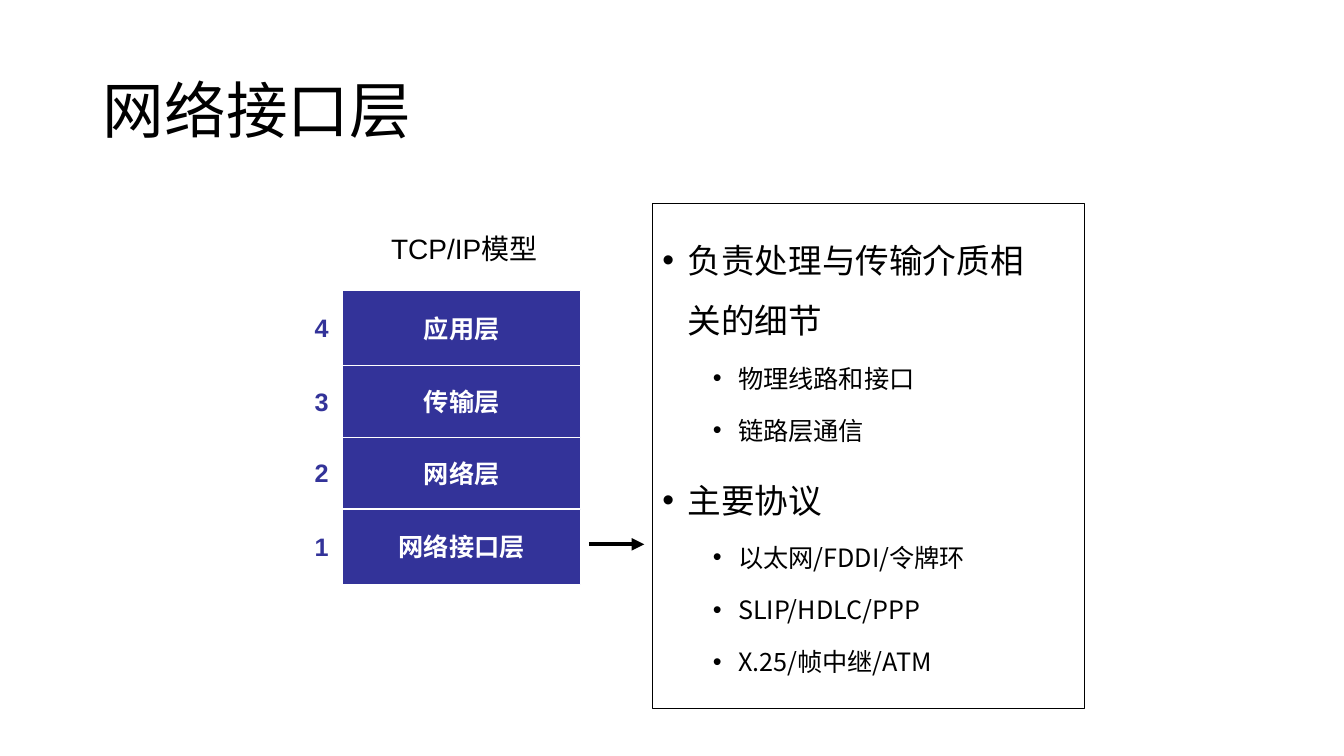
from pptx import Presentation
from pptx.dml.color import RGBColor
from pptx.enum.shapes import MSO_CONNECTOR as Connector, MSO_SHAPE as Shape
from pptx.enum.text import MSO_ANCHOR as Anchor, MSO_AUTO_SIZE as AutoSize, PP_ALIGN as Align
from pptx.oxml.ns import qn
from pptx.util import Inches, Pt
from lxml.etree import SubElement

CJK, LATIN = "Noto Sans CJK SC", "Arial"
BLACK, WHITE, BLUE = "000000", "FFFFFF", "333399"

TITLE = "网络接口层"
MODEL_NAME = "TCP/IP模型"
# Layer name and height, from top to bottom
LAYERS = [("应用层", 0.75), ("传输层", 0.71), ("网络层", 0.71), ("网络接口层", 0.75)]
# Level and text
DETAILS = [
    (0, "负责处理与传输介质相关的细节"),
    (1, "物理线路和接口"),
    (1, "链路层通信"),
    (0, "主要协议"),
    (1, "以太网/FDDI/令牌环"),
    (1, "SLIP/HDLC/PPP"),
    (1, "X.25/帧中继/ATM"),
]
# Size, space before and left indent of each bullet level
LEVELS = [(24, 10, 0.25), (18, 5, 0.75)]
HANGING = 0.25
STACK_LEFT, STACK_TOP, STACK_WIDTH = 3.4, 2.88, 2.36
NUMBER_LEFT, NUMBER_WIDTH, NUMBER_HEIGHT = 3.02, 0.34, 0.41


def color(value):
    return RGBColor.from_string(value)


def place(shape, *box):
    for name, value in zip(("left", "top", "width", "height"), box):
        setattr(shape, name, Inches(value))


def write(paragraph, text, hue, align=Align.CENTER, **font_format):
    paragraph.alignment = align
    run = paragraph.add_run()
    run.text = text
    for name, value in font_format.items():
        setattr(run.font, name, value)
    run.font.color.rgb = color(hue)
    east_asian = SubElement(run.font._element, qn("a:ea"))
    east_asian.set("typeface", CJK)


def add_label(slide, box, text, hue, **font_format):
    label = slide.shapes.add_textbox(*map(Inches, box))
    label.text_frame.word_wrap = True
    write(label.text_frame.paragraphs[0], text, hue, **font_format)
    return label.text_frame


def add_rectangle(slide, box, line, fill=None):
    shape = slide.shapes.add_shape(Shape.RECTANGLE, *map(Inches, box))
    shape.shadow.inherit = False
    if fill:
        shape.fill.solid()
        shape.fill.fore_color.rgb = color(fill)
    else:
        shape.fill.background()
    shape.line.color.rgb = color(line)
    shape.line.width = Pt(0.75)
    return shape


presentation = Presentation()
presentation.slide_width, presentation.slide_height = Inches(13.33), Inches(7.5)
slide = presentation.slides.add_slide(presentation.slide_layouts[1])

# Title
title = slide.shapes.title
place(title, 0.92, 0.4, 11.5, 1.45)
title.text_frame.vertical_anchor = Anchor.MIDDLE
title_paragraph = title.text_frame.paragraphs[0]
title_paragraph.line_spacing = 0.9
write(title_paragraph, TITLE, BLACK, Align.LEFT, size=Pt(44), name=CJK)

# Layer stack with numbers counting down
add_label(slide, (3.6, 2.25, 2.01, 0.43), MODEL_NAME, BLACK, size=Pt(20), name=LATIN)
top = STACK_TOP
for index, (layer, height) in enumerate(LAYERS):
    block = add_rectangle(slide, (STACK_LEFT, top, STACK_WIDTH, height), WHITE, BLUE)
    block.text_frame.word_wrap = False
    block.text_frame.vertical_anchor = Anchor.MIDDLE
    write(block.text_frame.paragraphs[0], layer, WHITE, size=Pt(18), name=CJK, bold=True)
    number_top = top + (height - NUMBER_HEIGHT) / 2
    number = add_label(slide, (NUMBER_LEFT, number_top, NUMBER_WIDTH, NUMBER_HEIGHT),
                       str(len(LAYERS) - index), BLUE, size=Pt(18), name=LATIN, bold=True)
    number.word_wrap = False
    top += height

# Arrow from the lowest layer to the panel
arrow = slide.shapes.add_connector(Connector.STRAIGHT, *map(Inches, (5.84, 5.4, 6.39, 5.4)))
arrow.line.color.rgb = color(BLACK)
arrow.line.width = Pt(3)
SubElement(arrow.line._get_or_add_ln(), qn("a:tailEnd")).set("type", "triangle")
SubElement(arrow._element.spPr, qn("a:effectLst"))

# Panel with the details
add_rectangle(slide, (6.47, 2.02, 4.29, 5.01), BLACK)
body = slide.placeholders[1]
place(body, 6.47, 2.13, 4.09, 4.85)
frame = body.text_frame
frame.auto_size = AutoSize.TEXT_TO_FIT_SHAPE
for index, (level, text) in enumerate(DETAILS):
    size, space_before, indent = LEVELS[level]
    paragraph = frame.add_paragraph() if index else frame.paragraphs[0]
    paragraph.level = level
    paragraph.line_spacing = 1.5
    paragraph.space_before = Pt(space_before if index else 0)
    properties = paragraph._p.get_or_add_pPr()
    properties.set("marL", str(Inches(indent)))
    properties.set("indent", str(-Inches(HANGING)))
    SubElement(properties, qn("a:buFont")).set("typeface", LATIN)
    SubElement(properties, qn("a:buChar")).set("char", "•")
    write(paragraph, text, BLACK, Align.LEFT, size=Pt(size), name=CJK)

presentation.save("out.pptx")
